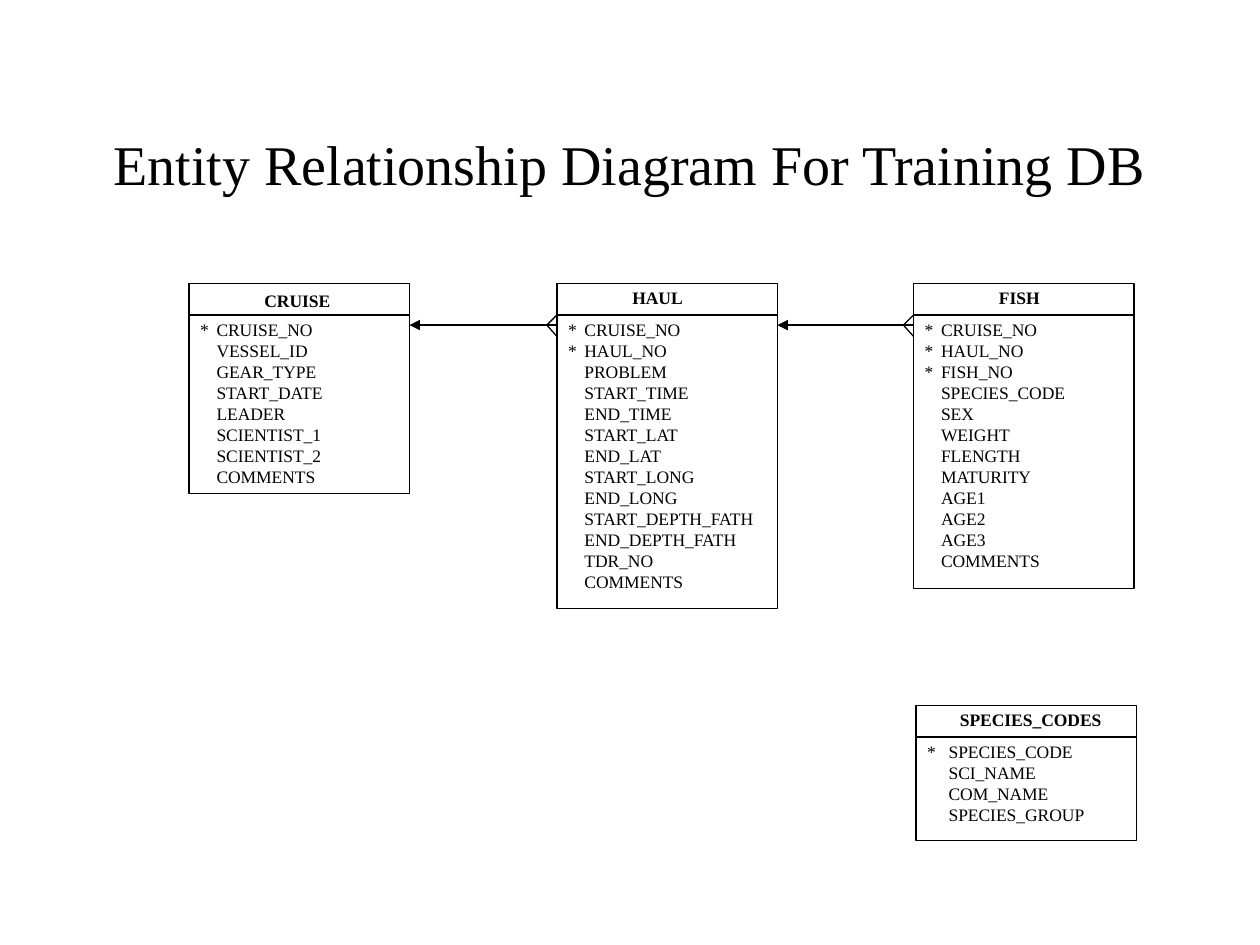
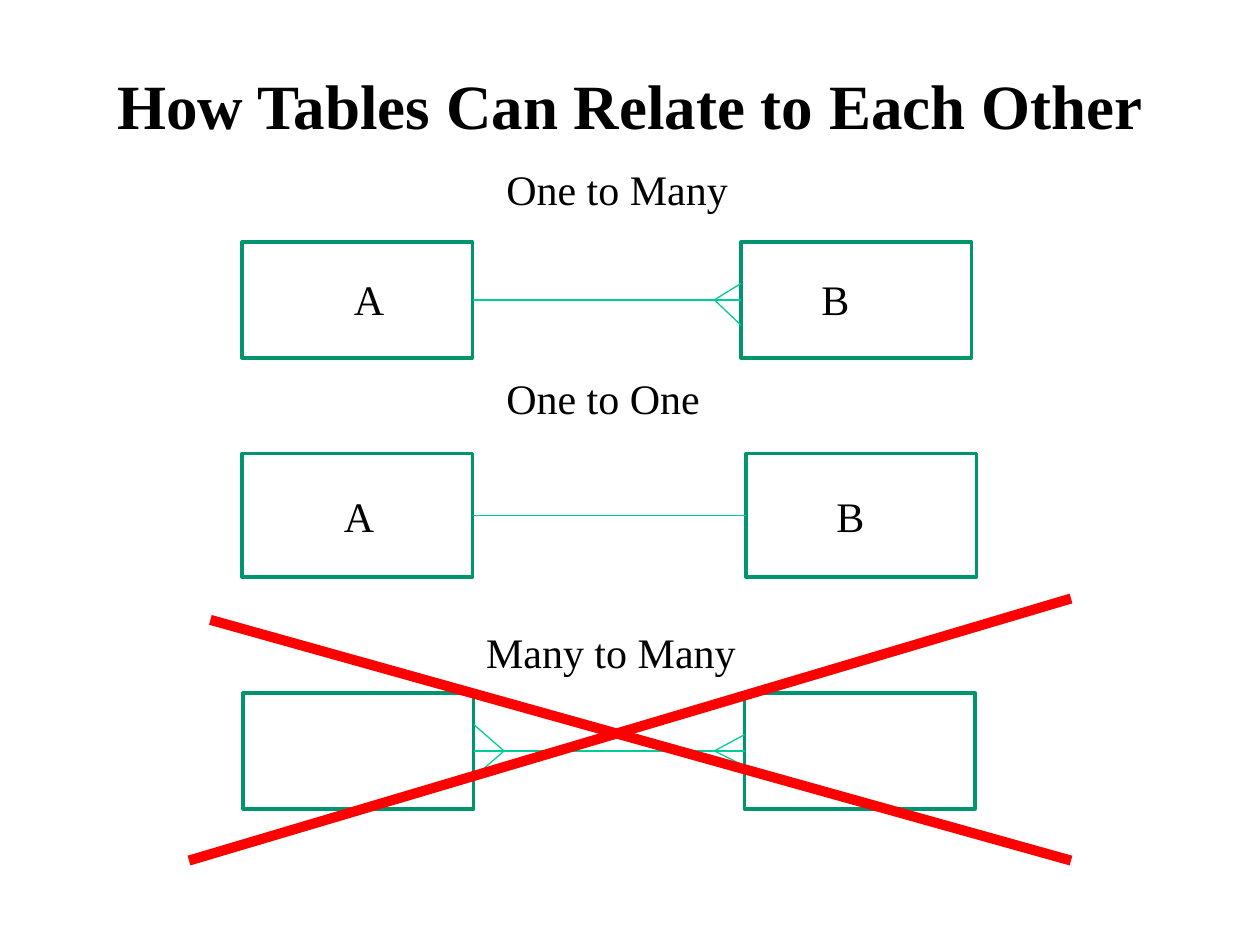
from dataclasses import dataclass

from pptx import Presentation
from pptx.dml.color import RGBColor
from pptx.enum.shapes import MSO_CONNECTOR, MSO_SHAPE
from pptx.enum.text import MSO_ANCHOR, MSO_AUTO_SIZE, PP_ALIGN
from pptx.oxml.ns import qn
from pptx.slide import Slide
from pptx.text.text import TextFrame
from pptx.util import Pt
from lxml import etree

PX = 9144  # EMU per px, 100 px to the inch
STRAIGHT = MSO_CONNECTOR.STRAIGHT
RECTANGLE = MSO_SHAPE.RECTANGLE
MIDDLE = MSO_ANCHOR.MIDDLE
NO_AUTOFIT = MSO_AUTO_SIZE.NONE
CENTER = PP_ALIGN.CENTER
TITLE_ONLY = 5

BLACK = RGBColor(0x00, 0x00, 0x00)
DARK_GREEN = RGBColor(0x00, 0x95, 0x6F)
GREEN = RGBColor(0x00, 0xCC, 0x98)
RED = RGBColor(0xFF, 0x00, 0x00)

FACE = "Times New Roman"
DIAGRAM_TITLE = {"name": FACE, "size": Pt(32), "bold": False}
RELATION_TITLE = {"name": FACE, "size": Pt(36), "bold": True}
ENTITY_NAME = {"name": FACE, "size": Pt(10), "bold": True}
ENTITY_FIELD = {"name": FACE, "size": Pt(10), "bold": False}
RELATION_LABEL = {"name": FACE, "size": Pt(24), "bold": False}

THIN, FRAME, CROSS = 0.75, 2, 5.75
ENTITY_WIDTH, HEADER_HEIGHT = 175, 25
TABLE_WIDTH = 183


@dataclass(frozen=True)
class Entity:
    name: str
    left: int
    top: int
    height: int
    name_dx: int
    name_dy: int
    keys: list[str]
    fields: list[str]
    indent: int = 13


@dataclass(frozen=True)
class CrowFoot:
    edge: int
    tip: int
    y: int
    upper: int
    lower: int


@dataclass(frozen=True)
class Relation:
    label: str
    label_left: int
    label_top: int
    top: int
    height: int
    lefts: tuple[int, int]
    line_y: int
    feet: list[CrowFoot]
    letter_lefts: tuple[int, ...] = ()
    letter_top: int = 0


ENTITIES = [
    Entity("CRUISE", 150, 225, 167, 50, 0, ["CRUISE_NO"],
           ["VESSEL_ID", "GEAR_TYPE", "START_DATE", "LEADER",
            "SCIENTIST_1", "SCIENTIST_2", "COMMENTS"]),
    Entity("HAUL", 442, 225, 258, 50, -2, ["CRUISE_NO", "HAUL_NO"],
           ["PROBLEM", "START_TIME", "END_TIME", "START_LAT", "END_LAT",
            "START_LONG", "END_LONG", "START_DEPTH_FATH", "END_DEPTH_FATH",
            "TDR_NO", "COMMENTS"]),
    Entity("FISH", 725, 225, 242, 58, -2,
           ["CRUISE_NO", "HAUL_NO", "FISH_NO"],
           ["SPECIES_CODE", "SEX", "WEIGHT", "FLENGTH", "MATURITY",
            "AGE1", "AGE2", "AGE3", "COMMENTS"]),
    Entity("SPECIES_CODES", 727, 560, 107, 25, -2, ["SPECIES_CODE"],
           ["SCI_NAME", "COM_NAME", "SPECIES_GROUP"], 17),
]

RELATIONS = [
    Relation("One to Many", 392, 125, 192, 92, (192, 588), 238,
             [CrowFoot(588, 567, 238, 225, 258)], (271, 642), 212),
    Relation("One to One", 392, 291, 360, 98, (192, 592), 409,
             [], (263, 654), 384),
    Relation("Many to Many", 376, 492, 550, 92, (193, 591), 596,
             [CrowFoot(591, 567, 596, 583, 608),
              CrowFoot(376, 400, 596, 575, 617)]),
]


# Shared drawing
def write(frame: TextFrame, lines: list[str], style: dict) -> None:
    for index, line in enumerate(lines):
        paragraph = frame.paragraphs[0] if index == 0 else frame.add_paragraph()
        run = paragraph.add_run()
        run.text = line
        for attribute, value in style.items():
            setattr(run.font, attribute, value)
        run.font.color.rgb = BLACK


def add_title(slide: Slide, text: str, top: int, height: int, style: dict) -> None:
    title = slide.shapes.title
    place = {"left": 75, "top": top, "width": 850, "height": height}
    for attribute, value in place.items():
        setattr(title, attribute, value * PX)
    frame = title.text_frame
    frame.auto_size = NO_AUTOFIT
    frame.vertical_anchor = MIDDLE
    write(frame, [text], style)
    frame.paragraphs[0].alignment = CENTER


def add_text(slide: Slide, lines: list[str], left: int, top: int,
             width: int, height: int, style: dict) -> TextFrame:
    box = slide.shapes.add_textbox(left * PX, top * PX, width * PX, height * PX)
    frame = box.text_frame
    frame.word_wrap = True
    write(frame, lines, style)
    return frame


def add_frame(slide: Slide, left: int, top: int, width: int, height: int,
              color: RGBColor, weight: float) -> None:
    rect = slide.shapes.add_shape(RECTANGLE, left * PX, top * PX,
                                  width * PX, height * PX)
    rect.shadow.inherit = False
    rect.fill.background()
    rect.line.color.rgb = color
    rect.line.width = Pt(weight)


def add_line(slide: Slide, x1: int, y1: int, x2: int, y2: int,
             color: RGBColor, weight: float = THIN, arrow: bool = False) -> None:
    line = slide.shapes.add_connector(STRAIGHT, x1 * PX, y1 * PX, x2 * PX, y2 * PX)
    line.line.color.rgb = color
    line.line.width = Pt(weight)
    properties = line._element.spPr
    if arrow:
        etree.SubElement(properties.find(qn("a:ln")), qn("a:tailEnd"), type="triangle")
    etree.SubElement(properties, qn("a:effectLst"))


def add_crow_foot(slide: Slide, foot: CrowFoot, color: RGBColor) -> None:
    for end in (foot.upper, foot.lower):
        add_line(slide, foot.edge, end, foot.tip, foot.y, color)


# Entity diagram
def add_entity(slide: Slide, entity: Entity) -> None:
    left, top = entity.left, entity.top
    divider = top + HEADER_HEIGHT
    add_frame(slide, left, top, ENTITY_WIDTH, entity.height, BLACK, THIN)
    add_line(slide, left, divider, left + ENTITY_WIDTH, divider, BLACK)
    add_text(slide, [entity.name], left + entity.name_dx, top + entity.name_dy,
             ENTITY_WIDTH - entity.name_dx, 27, ENTITY_NAME)

    # Key fields carry a star and a tab; the others are indented as far
    rows = [f"*\t{key}" for key in entity.keys] + entity.fields
    frame = add_text(slide, rows, left - 1, divider - 2, ENTITY_WIDTH,
                     10 + 17 * len(rows), ENTITY_FIELD)
    indent = str(entity.indent * PX)
    for index, paragraph in enumerate(frame.paragraphs):
        properties = paragraph._p.get_or_add_pPr()
        if index < len(entity.keys):
            tabs = etree.SubElement(properties, qn("a:tabLst"))
            etree.SubElement(tabs, qn("a:tab"), pos=indent, algn="l")
        else:
            properties.set("marL", indent)
            properties.set("indent", "0")


def build_entity_diagram(slide: Slide) -> None:
    add_title(slide, "Entity Relationship Diagram For Training DB", 67, 125,
              DIAGRAM_TITLE)
    for entity in ENTITIES:
        add_entity(slide, entity)
    cruise, haul, fish, _ = ENTITIES
    link_y = 258
    for parent, child in ((cruise, haul), (haul, fish)):
        add_line(slide, child.left, link_y, parent.left + ENTITY_WIDTH, link_y,
                 BLACK, arrow=True)
        add_crow_foot(slide, CrowFoot(child.left, child.left - 8, link_y,
                                      link_y - 8, link_y + 9), BLACK)


# Kinds of relation
def add_relation(slide: Slide, relation: Relation) -> None:
    first, second = relation.lefts
    for left in relation.lefts:
        add_frame(slide, left, relation.top, TABLE_WIDTH, relation.height,
                  DARK_GREEN, FRAME)
    add_text(slide, [relation.label], relation.label_left, relation.label_top,
             240, 50, RELATION_LABEL)
    add_line(slide, second, relation.line_y, first + TABLE_WIDTH,
             relation.line_y, GREEN)
    for foot in relation.feet:
        add_crow_foot(slide, foot, GREEN)
    for letter, left in zip("AB", relation.letter_lefts):
        add_text(slide, [letter], left, relation.letter_top, 58, 50, RELATION_LABEL)


def build_relations(slide: Slide) -> None:
    add_title(slide, "How Tables Can Relate to Each Other", 33, 100, RELATION_TITLE)
    for relation in RELATIONS:
        add_relation(slide, relation)
    # Cross out many to many
    add_line(slide, 167, 492, 850, 683, RED, CROSS)
    add_line(slide, 150, 683, 850, 475, RED, CROSS)


def main() -> None:
    deck = Presentation()
    deck.slide_width, deck.slide_height = 1000 * PX, 750 * PX
    for build in (build_entity_diagram, build_relations):
        build(deck.slides.add_slide(deck.slide_layouts[TITLE_ONLY]))
    deck.save("out.pptx")


if __name__ == "__main__":
    main()
